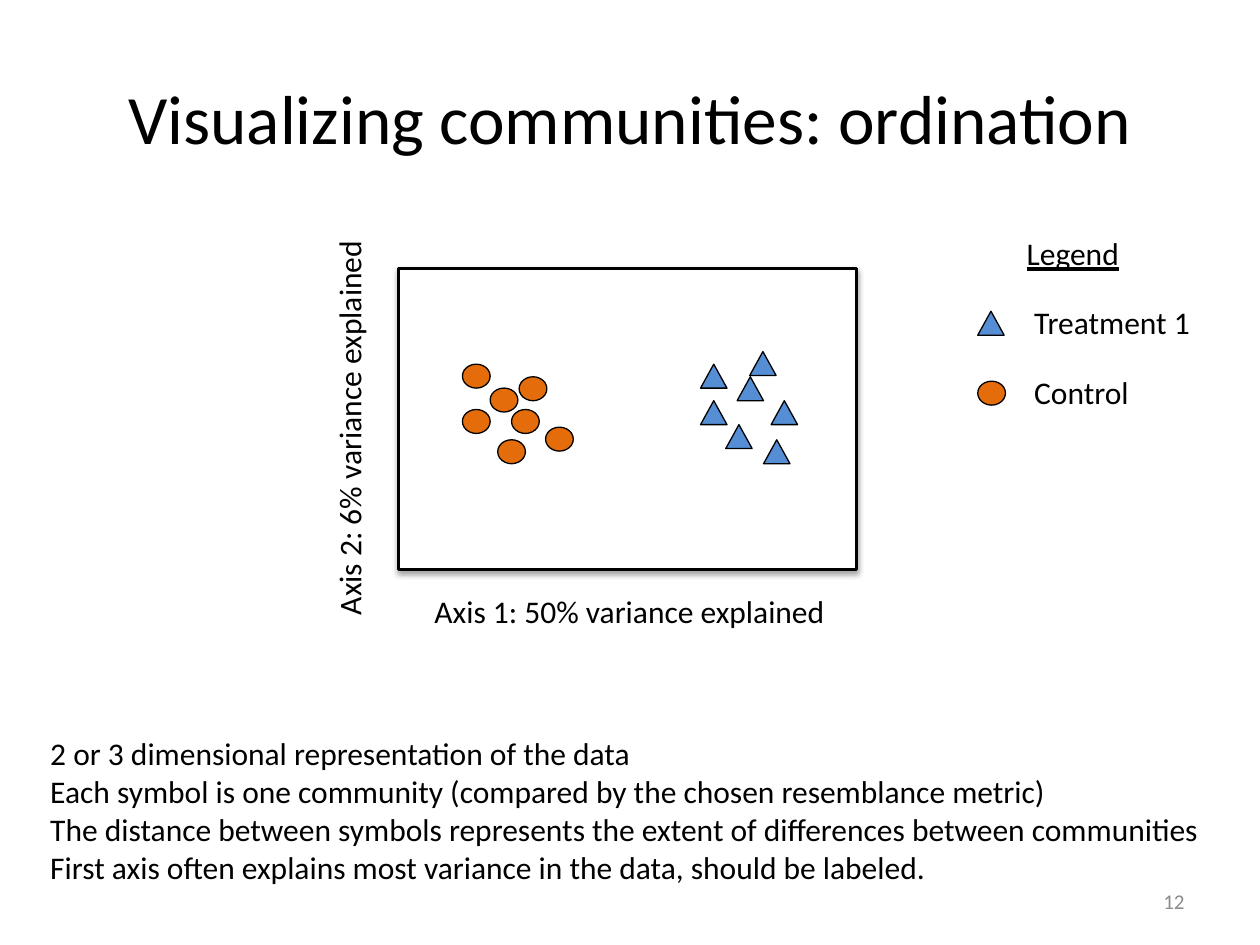
from lxml.etree import SubElement
from pptx import Presentation
from pptx.dml.color import RGBColor
from pptx.enum.shapes import MSO_SHAPE
from pptx.enum.text import MSO_ANCHOR, PP_ALIGN
from pptx.oxml.ns import qn
from pptx.util import Inches, Pt

BLACK = RGBColor(0x00, 0x00, 0x00)
WHITE = RGBColor(0xFF, 0xFF, 0xFF)
GRAY = RGBColor(0x8C, 0x8C, 0x8C)
ORANGE = RGBColor(0xE4, 0x6C, 0x0A)
BLUE = RGBColor(0x55, 0x8E, 0xD5)

# Content
TITLE = "Visualizing communities: ordination"
AXIS_1 = "Axis 1: 50% variance explained"
AXIS_2 = "Axis 2: 6% variance explained"
NOTES = [
    "2 or 3 dimensional representation of the data",
    "Each symbol is one community (compared by the chosen resemblance metric)",
    "The distance between symbols represents the extent of differences between communities",
    "First axis often explains most variance in the data, should be labeled.",
]
# Each group: marker shape, marker width, colour, left and top of every point
GROUPS = {
    "Treatment 1": (MSO_SHAPE.ISOSCELES_TRIANGLE, 0.21, BLUE, [
        (5.95, 2.79), (5.56, 2.89), (5.85, 2.99), (5.56, 3.18),
        (6.12, 3.18), (5.76, 3.37), (6.06, 3.49)]),
    "Control": (MSO_SHAPE.OVAL, 0.22, ORANGE, [
        (3.89, 3.08), (4.06, 3.25), (4.12, 2.99), (3.95, 3.49),
        (4.33, 3.39), (3.67, 2.89), (3.67, 3.25)]),
}
LABEL_WIDTHS = {"Treatment 1": 1.45, "Control": 0.96}
MARKER_HEIGHT = 0.19
LEGEND_LEFT, LEGEND_TOP, LEGEND_STEP = 7.76, 2.36, 0.555

deck = Presentation()
deck.slide_width, deck.slide_height = Inches(10), Inches(7.5)
page = deck.slides.add_slide(deck.slide_layouts[6])


def add_text(lines, left, top, width, height, size=18, color=BLACK, wrap=False,
             align=PP_ALIGN.LEFT, anchor=MSO_ANCHOR.TOP, underline=None, rotation=0):
    box = page.shapes.add_textbox(Inches(left), Inches(top), Inches(width), Inches(height))
    box.rotation = rotation
    frame = box.text_frame
    frame.word_wrap = wrap
    frame.vertical_anchor = anchor
    frame.text = "\n".join(lines)
    for para in frame.paragraphs:
        para.alignment = align
        for span in para.runs:
            span.font.name = "Calibri"
            span.font.size = Pt(size)
            span.font.color.rgb = color
            span.font.underline = underline


def add_figure(kind, left, top, width, height, fill, line_width=0.75):
    figure = page.shapes.add_shape(kind, Inches(left), Inches(top), Inches(width), Inches(height))
    figure.shadow.inherit = False
    figure.fill.solid()
    figure.fill.fore_color.rgb = fill
    figure.line.color.rgb = BLACK
    figure.line.width = Pt(line_width)
    return figure


def add_shadow(figure, blur, distance, opacity):
    effects = figure._element.spPr.find(qn("a:effectLst"))
    shadow = SubElement(effects, qn("a:outerShdw"), blurRad=str(Pt(blur)),
                        dist=str(Pt(distance)), dir=str(90 * 60000), rotWithShape="0")
    color = SubElement(shadow, qn("a:srgbClr"), val=str(BLACK))
    SubElement(color, qn("a:alpha"), val=str(opacity * 1000))


# Title
add_text([TITLE], 0.5, 0.3, 9, 1.25, size=39.6, wrap=True,
         align=PP_ALIGN.CENTER, anchor=MSO_ANCHOR.MIDDLE)

# Plot frame and axis labels
plot = add_figure(MSO_SHAPE.RECTANGLE, 3.16, 2.13, 3.64, 2.39, WHITE, line_width=1.75)
add_shadow(plot, blur=3.1, distance=1.8, opacity=35)
add_text([AXIS_1], 3.35, 4.65, 3.33, 0.4)
add_text([AXIS_2], 1.17, 3.18, 3.2, 0.4, rotation=270)

# Points and legend
add_text(["Legend"], 8.05, 1.81, 0.94, 0.4, underline=True)
for row, (name, (kind, width, color, points)) in enumerate(GROUPS.items()):
    top = LEGEND_TOP + row * LEGEND_STEP
    for x, y in points + [(LEGEND_LEFT, top + 0.11)]:
        add_figure(kind, x, y, width, MARKER_HEIGHT, color)
    add_text([name], LEGEND_LEFT + 0.35, top, LABEL_WIDTHS[name], 0.4)

# Notes and page number
add_text(NOTES, 0.3, 5.78, 9.41, 1.62)
add_text(["12"], 7.17, 6.95, 2.33, 0.4, size=12, color=GRAY, wrap=True,
         align=PP_ALIGN.RIGHT, anchor=MSO_ANCHOR.MIDDLE)

deck.save("out.pptx")
